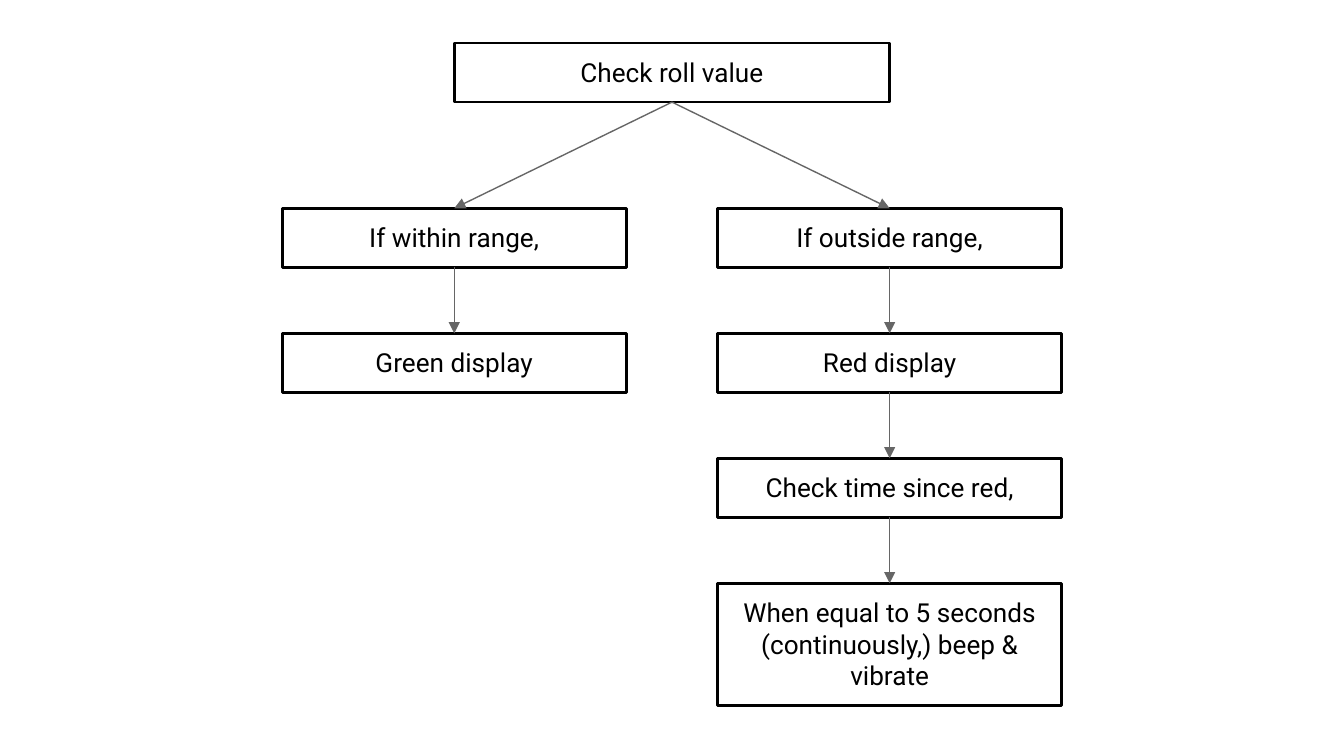
"""Build a decision flowchart for roll monitoring."""
from itertools import pairwise

from lxml import etree
from pptx import Presentation
from pptx.dml.color import RGBColor
from pptx.enum import shapes, text
from pptx.oxml.ns import qn
from pptx.util import Inches, Pt

SLIDE_WIDTH = 10
SLIDE_HEIGHT = SLIDE_WIDTH * 9 / 16
ROOT_CENTER = SLIDE_WIDTH / 2
BRANCH_OFFSET = 1.62
LEFT_CENTER, RIGHT_CENTER = ROOT_CENTER - BRANCH_OFFSET, ROOT_CENTER + BRANCH_OFFSET
ROOT_TOP, BRANCH_TOP, ROW_STEP = 0.32, 1.55, 0.93
ROOT_WIDTH, STEP_WIDTH = 3.24, 2.56
STEP_HEIGHT, FINAL_HEIGHT = 0.44, 0.91
BOTTOM_SITE, TOP_SITE = 2, 0

BRANCHES = {
    LEFT_CENTER: [
        ("If within range,", STEP_HEIGHT),
        ("Green display", STEP_HEIGHT),
    ],
    RIGHT_CENTER: [
        ("If outside range,", STEP_HEIGHT),
        ("Red display", STEP_HEIGHT),
        ("Check time since red,", STEP_HEIGHT),
        ("When equal to 5 seconds (continuously,) beep & vibrate", FINAL_HEIGHT),
    ],
}


def color(value):
    """Return the colour for a hex string."""
    return RGBColor.from_string(value)


def set_line(line, value, width):
    """Set the colour and the width in points of a line."""
    line.color.rgb = color(value)
    line.width = Pt(width)


def add_box(page, label, center, top, width, height=STEP_HEIGHT):
    """Add an outlined box with centred text around a horizontal centre."""
    box = page.shapes.add_shape(
        shapes.MSO_SHAPE.RECTANGLE,
        Inches(center - width / 2), Inches(top), Inches(width), Inches(height),
    )
    box.shadow.inherit = False
    box.fill.background()
    set_line(box.line, "000000", 1.5)

    frame = box.text_frame
    frame_format = {
        "word_wrap": True,
        "auto_size": text.MSO_AUTO_SIZE.SHAPE_TO_FIT_TEXT,
        "vertical_anchor": text.MSO_ANCHOR.TOP,
    }
    for side in ("left", "top", "right", "bottom"):
        frame_format[f"margin_{side}"] = Inches(0.1)
    for name, value in frame_format.items():
        setattr(frame, name, value)

    para = frame.paragraphs[0]
    para.alignment = text.PP_ALIGN.CENTER
    span = para.add_run()
    span.text = label
    for name, value in {"name": "Roboto", "size": Pt(14)}.items():
        setattr(span.font, name, value)
    span.font.color.rgb = color("000000")
    return box


def add_arrow(page, source, target):
    """Join the bottom of one box to the top of another with an arrow."""
    arrow = page.shapes.add_connector(shapes.MSO_CONNECTOR.STRAIGHT, 0, 0, 0, 0)
    arrow.begin_connect(source, BOTTOM_SITE)
    arrow.end_connect(target, TOP_SITE)
    set_line(arrow.line, "666666", 0.75)
    etree.SubElement(arrow.line._get_or_add_ln(), qn("a:tailEnd"), type="triangle")
    etree.SubElement(arrow._element.spPr, qn("a:effectLst"))


def add_branch(page, root, center, steps):
    """Add a column of boxes and chain them to the root box."""
    boxes = [
        add_box(page, label, center, BRANCH_TOP + row * ROW_STEP, STEP_WIDTH, height)
        for row, (label, height) in enumerate(steps)
    ]
    for source, target in pairwise([root, *boxes]):
        add_arrow(page, source, target)


def main():
    """Build and save the flowchart."""
    deck = Presentation()
    deck.slide_width, deck.slide_height = Inches(SLIDE_WIDTH), Inches(SLIDE_HEIGHT)
    page = deck.slides.add_slide(deck.slide_layouts.get_by_name("Blank"))
    root = add_box(page, "Check roll value", ROOT_CENTER, ROOT_TOP, ROOT_WIDTH)
    for center, steps in BRANCHES.items():
        add_branch(page, root, center, steps)
    deck.save("out.pptx")


if __name__ == "__main__":
    main()
